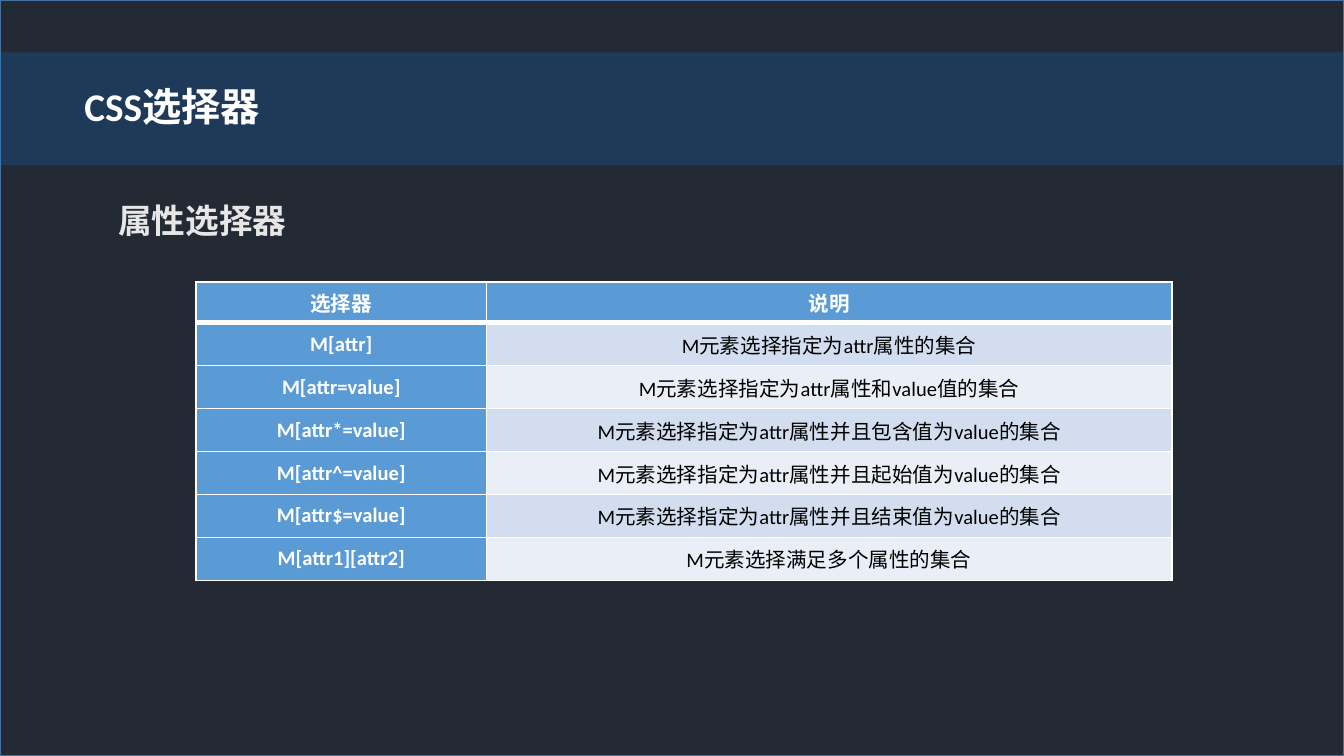
from lxml.etree import SubElement
from pptx import Presentation
from pptx.dml.color import RGBColor
from pptx.enum.shapes import MSO_SHAPE
from pptx.enum.text import MSO_ANCHOR, PP_ALIGN
from pptx.oxml.ns import qn
from pptx.util import Inches, Pt

WIDTH = Inches(10)
HEIGHT = WIDTH * 9 // 16  # widescreen
LATIN, CJK = "Calibri", "Noto Sans CJK SC"
COLORS = {
    "background": "232A34", "outline": "43739E", "band": "137EEC",
    "white": "FFFFFF", "subtitle": "E7E6E6", "black": "000000",
    "header": "5B9BD5", "odd": "D2DEEF", "even": "EAEFF7",
}
ROWS = [
    ("选择器", "说明"),
    ("M[attr]", "M元素选择指定为attr属性的集合"),
    ("M[attr=value]", "M元素选择指定为attr属性和value值的集合"),
    ("M[attr*=value]", "M元素选择指定为attr属性并且包含值为value的集合"),
    ("M[attr^=value]", "M元素选择指定为attr属性并且起始值为value的集合"),
    ("M[attr$=value]", "M元素选择指定为attr属性并且结束值为value的集合"),
    ("M[attr1][attr2]", "M元素选择满足多个属性的集合"),
]


def rgb(name):
    return RGBColor.from_string(COLORS[name])


def write(tf, text, size, color, bold=True, font=LATIN):
    """Fill a text frame with one paragraph and return it."""
    p = tf.paragraphs[0]
    p.text = text
    p.font.size, p.font.bold, p.font.name = Pt(size), bold, font
    p.font.color.rgb = rgb(color)
    SubElement(p._p.pPr.defRPr, qn("a:ea"), typeface=CJK)
    return p


def add_panel(slide, top, height, color, line=None, alpha=None):
    """Add a rectangle as wide as the slide."""
    sp = slide.shapes.add_shape(MSO_SHAPE.RECTANGLE, 0, top, WIDTH, height)
    sp.shadow.inherit = False
    sp.fill.solid()
    sp.fill.fore_color.rgb = rgb(color)
    if alpha is not None:
        clr = sp._element.spPr.find(".//" + qn("a:srgbClr"))
        SubElement(clr, qn("a:alpha"), val=str(alpha * 1000))
    if line:
        sp.line.color.rgb = rgb(line)
        sp.line.width = Pt(1)
    else:
        sp.line.fill.background()


def add_text(slide, box, text, size, color, font=LATIN, inset=0.1):
    tf = slide.shapes.add_textbox(*map(Inches, box)).text_frame
    tf.word_wrap = True
    tf.margin_left = Inches(inset)
    write(tf, text, size, color, font=font)


def set_borders(cell, bottom):
    """Draw white cell borders, 1 pt except for the bottom one."""
    tcPr = cell._tc.get_or_add_tcPr()
    widths = {"lnL": 1, "lnR": 1, "lnT": 1, "lnB": bottom}
    for i, (side, width) in enumerate(widths.items()):
        ln = SubElement(tcPr, qn("a:" + side), w=str(Pt(width)))
        fill = SubElement(ln, qn("a:solidFill"))
        SubElement(fill, qn("a:srgbClr"), val=COLORS["white"])
        tcPr.insert(i, ln)  # borders come before the fill


def fill_cell(cell, text, row, col):
    is_head = row == 0 or col == 0
    cell.margin_left = cell.margin_right = Inches(0.08)
    cell.margin_top = cell.margin_bottom = 0
    cell.vertical_anchor = MSO_ANCHOR.MIDDLE
    cell.fill.solid()
    cell.fill.fore_color.rgb = rgb(
        "header" if is_head else "odd" if row % 2 else "even")
    p = write(cell.text_frame, text, 11, "white" if is_head else "black", is_head)
    p.alignment = PP_ALIGN.CENTER
    p.space_after = Pt(10)
    set_borders(cell, 3 if row == 0 else 1)


def add_selector_table(slide):
    table = slide.shapes.add_table(
        len(ROWS), 2, Inches(1.46), Inches(2.1), Inches(7.26), Inches(2.2)).table
    for column, width in zip(table.columns, (2.16, 5.1)):
        column.width = Inches(width)
    for r, texts in enumerate(ROWS):
        table.rows[r].height = Inches(0.32 if r else 0.3)
        for c, text in enumerate(texts):
            fill_cell(table.cell(r, c), text, r, c)


def main():
    prs = Presentation()
    prs.slide_width, prs.slide_height = WIDTH, HEIGHT
    slide = prs.slides.add_slide(prs.slide_layouts[6])

    # Background and title band
    add_panel(slide, 0, HEIGHT, "background", line="outline")
    add_panel(slide, Inches(0.39), Inches(0.84), "band", alpha=20)

    # Headings
    add_text(slide, (0.5, 1.44, 8.57, 1.08), "属性选择器", 18, "subtitle",
             font=CJK, inset=0.38)
    add_text(slide, (0.53, 0.56, 9.2, 0.45), "CSS选择器", 21, "white")

    # Attribute selectors
    add_selector_table(slide)
    prs.save("out.pptx")


if __name__ == "__main__":
    main()
